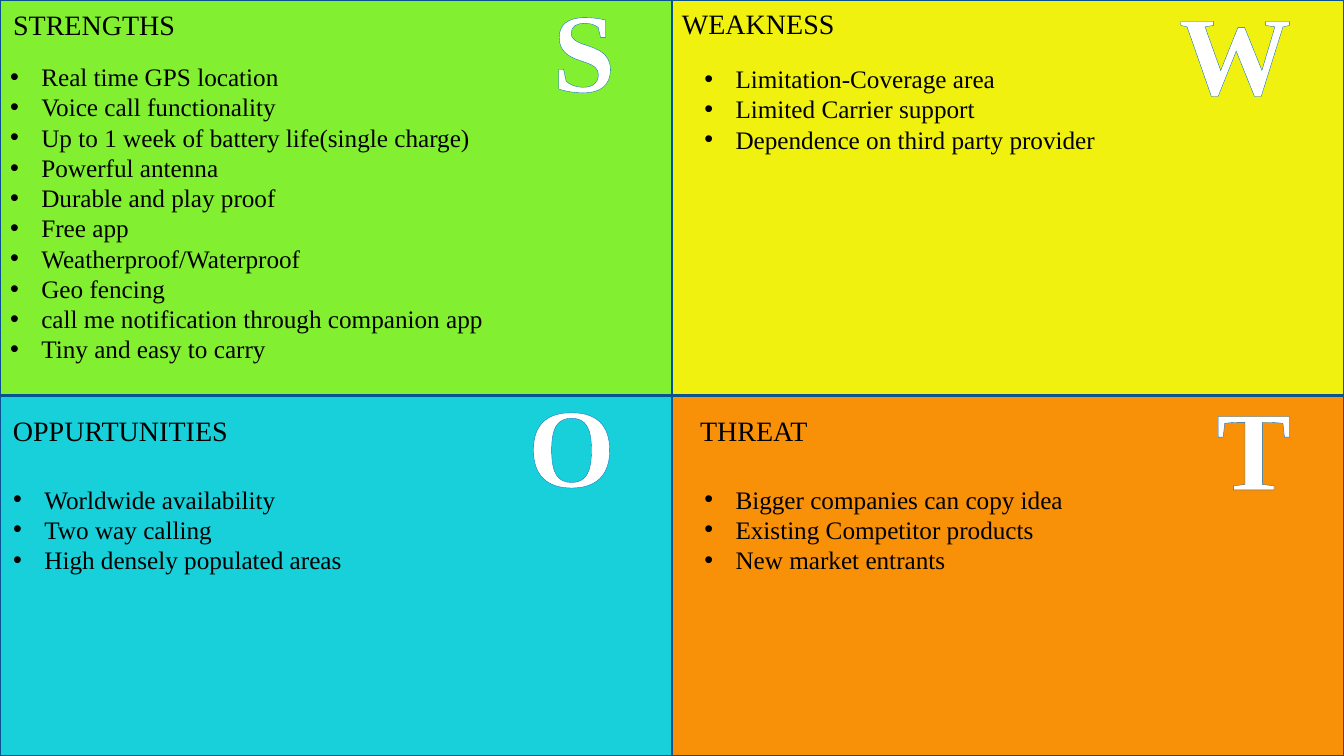
from dataclasses import dataclass

from lxml import etree
from pptx import Presentation
from pptx.dml.color import RGBColor
from pptx.enum import shapes, text
from pptx.oxml import ns
from pptx.util import Inches, Pt

COLORS = {
    "strengths": "82F030",
    "weakness": "F1F10F",
    "opportunities": "17D0D9",
    "threat": "F89108",
    "border": "0B5292",
    "ink": "000000",
    "letter": "FFFFFF",
    "letter_edge": "0669C4",
}
FONT = "Times New Roman"
SLIDE_WIDTH, SLIDE_HEIGHT = 13.33, 7.5
PANEL_WIDTH = SLIDE_WIDTH / 2
TOP_HEIGHT = 3.92
LINE_HEIGHT = 0.3
LETTER_WIDTH = 1.4


@dataclass
class Panel:
    letter: str
    heading: str
    color: str
    column: int
    row: int
    heading_offset: tuple
    list_offset: tuple
    items: list


PANELS = [
    Panel("S", "STRENGTHS", "strengths", 0, 0, (0.03, 0.02), (0, 0.56), [
        "Real time GPS location",
        "Voice call functionality",
        "Up to 1 week of battery life(single charge)",
        "Powerful antenna",
        "Durable and play proof",
        "Free app",
        "Weatherproof/Waterproof",
        "Geo fencing",
        "call me notification through companion app",
        "Tiny and easy to carry",
    ]),
    Panel("W", "WEAKNESS", "weakness", 1, 0, (0, 0.02), (0.22, 0.58), [
        "Limitation-Coverage area",
        "Limited Carrier support",
        "Dependence on third party provider",
    ]),
    Panel("O", "OPPURTUNITIES", "opportunities", 0, 1, (0.03, 0.13), (0.03, 0.83), [
        "Worldwide availability",
        "Two way calling",
        "High densely populated areas",
    ]),
    Panel("T", "THREAT", "threat", 1, 1, (0.18, 0.13), (0.22, 0.83), [
        "Bigger companies can copy idea",
        "Existing Competitor products",
        "New market entrants",
    ]),
]


def rgb(name):
    return RGBColor.from_string(COLORS[name])


def place(box, left, top, width, height):
    box.left, box.top = Inches(left), Inches(top)
    box.width, box.height = Inches(width), Inches(height)
    frame = box.text_frame
    frame.word_wrap = True
    frame.auto_size = text.MSO_AUTO_SIZE.NONE
    frame.vertical_anchor = text.MSO_ANCHOR.TOP
    return frame


def write(para, words, size, color="ink", bold=False, align=text.PP_ALIGN.LEFT):
    para.alignment = align
    para.line_spacing = 1.0
    para.space_before = para.space_after = Pt(0)
    span = para.add_run()
    span.text = words
    span.font.name = FONT
    span.font.size = Pt(size)
    span.font.bold = bold
    span.font.color.rgb = rgb(color)
    return span


def add_bullet(para):
    properties = para._p.get_or_add_pPr()
    properties.set("marL", str(Inches(0.31)))
    properties.set("indent", str(-Inches(0.31)))
    etree.SubElement(properties, ns.qn("a:buFont"), typeface="Arial")
    etree.SubElement(properties, ns.qn("a:buChar"), char="•")


def outline(span):
    line = etree.Element(ns.qn("a:ln"), w=str(Pt(0.83)))
    fill = etree.SubElement(line, ns.qn("a:solidFill"))
    etree.SubElement(fill, ns.qn("a:srgbClr"), val=COLORS["letter_edge"])
    span.font._element.insert(0, line)


def new_textbox(page):
    return page.shapes.add_textbox(0, 0, 0, 0)


def add_background(page, panel, left, top, width, height):
    area = page.shapes.add_shape(
        shapes.MSO_SHAPE.RECTANGLE,
        Inches(left), Inches(top), Inches(width), Inches(height))
    area.shadow.inherit = False
    area.fill.solid()
    area.fill.fore_color.rgb = rgb(panel.color)
    area.line.color.rgb = rgb("border")
    area.line.width = Pt(2)


def add_heading(box, panel, left, top):
    x, y = panel.heading_offset
    frame = place(box, left + x, top + y, 2.5, 0.44)
    write(frame.paragraphs[0], panel.heading, 20)


def add_list(box, panel, left, top):
    x, y = panel.list_offset
    frame = place(box, left + x, top + y, 5, LINE_HEIGHT * len(panel.items) + 0.1)
    for index, item in enumerate(panel.items):
        para = frame.add_paragraph() if index else frame.paragraphs[0]
        write(para, item, 18)
        add_bullet(para)


def add_letter(box, panel, left, top):
    right = 6.24 if panel.column else 6.2
    offset = -0.22 if panel.column else -0.25
    frame = place(box, left + right - LETTER_WIDTH, top + offset, LETTER_WIDTH, 1.45)
    span = write(frame.paragraphs[0], panel.letter, 80, "letter", True, text.PP_ALIGN.RIGHT)
    outline(span)


def add_panel(page, panel, heading_box, list_box):
    left = panel.column * PANEL_WIDTH
    top = panel.row * TOP_HEIGHT
    height = SLIDE_HEIGHT - TOP_HEIGHT if panel.row else TOP_HEIGHT
    add_background(page, panel, left, top, PANEL_WIDTH, height)
    for box in (heading_box, list_box):
        page.shapes._spTree.append(box._element)
    add_heading(heading_box, panel, left, top)
    add_list(list_box, panel, left, top)
    add_letter(new_textbox(page), panel, left, top)


def main():
    deck = Presentation()
    deck.slide_width = Inches(SLIDE_WIDTH)
    deck.slide_height = Inches(SLIDE_HEIGHT)
    page = deck.slides.add_slide(deck.slide_layouts.get_by_name("Comparison"))
    bodies = {box.placeholder_format.idx: box for box in page.placeholders}
    for index, panel in enumerate(PANELS):
        heading_box = new_textbox(page) if index else page.shapes.title
        add_panel(page, panel, heading_box, bodies[index + 1])
    deck.save("out.pptx")


if __name__ == "__main__":
    main()
